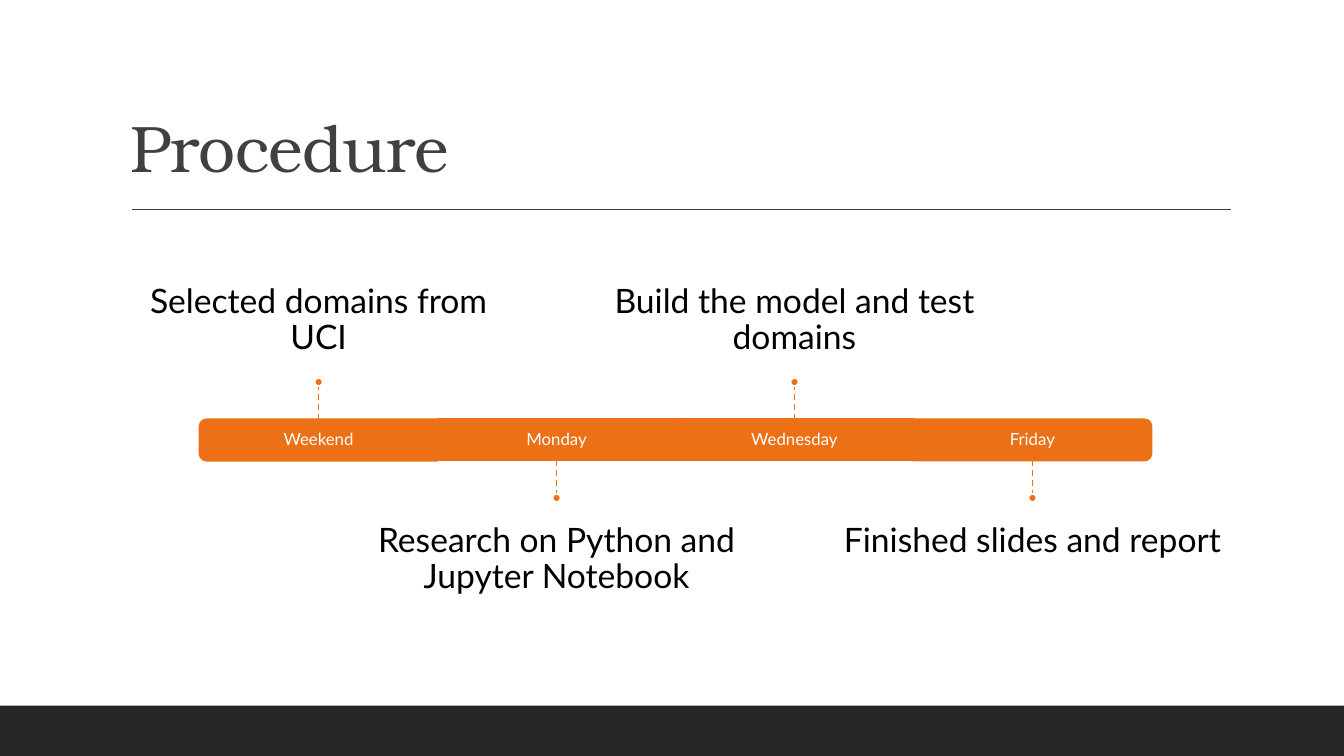
import pptx
import pptx.util
import pptx.dml.color
import pptx.enum.dml
import pptx.enum.shapes
import pptx.enum.text
import pptx.oxml.ns
import lxml.etree

Inches, Pt = pptx.util.Inches, pptx.util.Pt
Shape = pptx.enum.shapes.MSO_SHAPE
Anchor = pptx.enum.text.MSO_ANCHOR
Align = pptx.enum.text.PP_ALIGN

STEPS = [
    ("Weekend", "Selected domains from UCI"),
    ("Monday", "Research on Python and Jupyter Notebook"),
    ("Wednesday", "Build the model and test domains"),
    ("Friday", "Finished slides and report"),
]


class Deck:
    hues = {"ink": "000000", "title": "404040", "foot": "262626",
            "bar": "EC7016", "white": "FFFFFF"}
    body, serif = "Lato", "TeX Gyre Bonum"

    def __init__(self):
        self.prs = pptx.Presentation()
        self.prs.slide_width = Inches(13.33)
        self.prs.slide_height = Inches(7.5)
        self.slide = self.prs.slides.add_slide(self.prs.slide_layouts[6])

    def hue(self, name):
        return pptx.dml.color.RGBColor.from_string(self.hues[name])

    def shape(self, kind, x, y, w, h, fill, edge=None, turn=0):
        item = self.slide.shapes.add_shape(
            kind, Inches(x), Inches(y), Inches(w), Inches(h))
        item.shadow.inherit = False
        item.rotation = turn
        item.fill.solid()
        item.fill.fore_color.rgb = self.hue(fill)
        if edge:
            item.line.color.rgb = self.hue(edge)
            item.line.width = Pt(1.25)
        else:
            item.line.fill.background()
        return item

    def line(self, x1, y1, x2, y2, color, dash=False):
        item = self.slide.shapes.add_connector(
            pptx.enum.shapes.MSO_CONNECTOR.STRAIGHT,
            Inches(x1), Inches(y1), Inches(x2), Inches(y2))
        item.line.color.rgb = self.hue(color)
        item.line.width = Pt(1)
        if dash:
            item.line.dash_style = pptx.enum.dml.MSO_LINE.DASH
        lxml.etree.SubElement(item._element.spPr,
                              pptx.oxml.ns.qn("a:effectLst"))
        return item

    def box(self, x, y, w, h):
        return self.slide.shapes.add_textbox(
            Inches(x), Inches(y), Inches(w), Inches(h))

    def text(self, item, words, size, color, anchor, pads,
             align=Align.CENTER, face=body):
        frame = item.text_frame
        frame.word_wrap = True
        frame.vertical_anchor = anchor
        (frame.margin_left, frame.margin_top, frame.margin_right,
         frame.margin_bottom) = [Inches(pad) for pad in pads]
        para = frame.paragraphs[0]
        para.text = words
        para.alignment = align
        para.line_spacing = 0.9
        para.font.size = Pt(size)
        para.font.name = face
        para.font.color.rgb = self.hue(color)
        return para


def main():
    deck = Deck()

    # Footer band, title and rule
    deck.shape(Shape.RECTANGLE, 0, 7, 13.33, 0.5, "foot")
    title = deck.text(deck.box(1.2, 0.31, 11, 1.59), "Procedure", 47, "title",
                      Anchor.BOTTOM, (0.1, 0.05, 0.1, 0.05), Align.LEFT,
                      deck.serif)
    title.runs[0]._r.get_or_add_rPr().set("spc", "-50")
    deck.line(1.31, 2.08, 12.21, 2.08, "title")

    # Timeline: notes alternate above and below the bar
    wide, high, top = 2.36, 0.41, 4.16
    note, stem, dot = 3.93, 0.33, 0.08
    turns = {0: 270, len(STEPS) - 1: 90}
    for i, (day, task) in enumerate(STEPS):
        mid = 3.16 + i * wide
        above = i % 2 == 0
        side = top if above else top + high
        tip = side - stem if above else side + stem

        # Bar segment, with outer ends rounded, and its day
        if i in turns:
            bar = deck.shape(Shape.ROUND_2_SAME_RECTANGLE, mid - high / 2,
                             top + (high - wide) / 2, high, wide,
                             "bar", "bar", turns[i])
            label = deck.box(mid - wide / 2, top, wide, high)
        else:
            bar = label = deck.shape(Shape.RECTANGLE, mid - wide / 2, top,
                                     wide, high, "bar", "bar")
        deck.text(label, day, 12, "white", Anchor.MIDDLE, (0.1,) * 4)

        # Task note
        deck.text(deck.box(mid - note / 2, 2.29 if above else 4.99, note, 1.45),
                  task, 24, "ink", Anchor.BOTTOM if above else Anchor.TOP,
                  (0, 0, 0, 0.2) if above else (0, 0.2, 0, 0))

        # Stem and dot
        link = deck.line(mid, side, mid, tip, "bar", dash=True)
        if i not in turns:
            link.begin_connect(bar, 0 if above else 2)
        deck.shape(Shape.OVAL, mid - dot / 2, tip - dot if above else tip,
                   dot, dot, "bar", "white")

    deck.prs.save("out.pptx")


if __name__ == "__main__":
    main()
